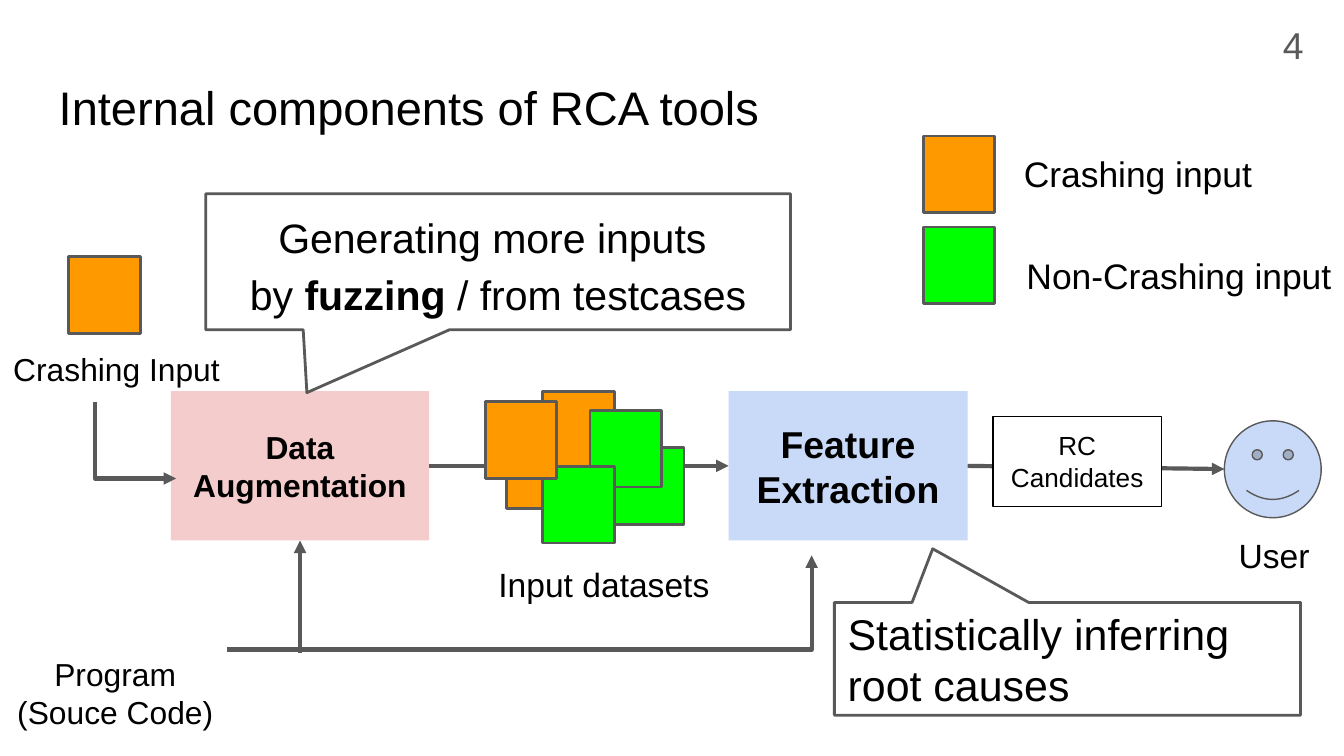
from dataclasses import dataclass, field
from typing import Optional

from lxml.etree import SubElement
from pptx import Presentation
from pptx.dml.color import RGBColor
from pptx.enum.shapes import MSO_CONNECTOR, MSO_SHAPE as SHAPE
from pptx.enum.text import MSO_ANCHOR as ANCHOR, PP_ALIGN as ALIGN
from pptx.oxml.ns import qn
from pptx.util import Cm, Pt

GRAY, BLACK, WHITE = "595959", "000000", "FFFFFF"
ORANGE, GREEN, PINK, BLUE = "FF9900", "00FF00", "F4CCCC", "C9DAF8"
LEFT, CENTER, RIGHT = ALIGN.LEFT, ALIGN.CENTER, ALIGN.RIGHT
INSET = Cm(0.25)


@dataclass
class Text:
    """Paragraphs; a pair of asterisks switches bold on and off."""
    paragraphs: list
    size: float
    align: ALIGN = LEFT
    anchor: ANCHOR = ANCHOR.TOP
    bold: bool = False
    color: str = BLACK
    spacing: dict = field(default_factory=dict)


@dataclass
class Box:
    at: tuple
    text: Optional[Text] = None
    fill: str = WHITE
    line: Optional[str] = GRAY
    width: float = 1.5
    kind: SHAPE = SHAPE.RECTANGLE
    adj: tuple = ()


def rgb(color: str) -> RGBColor:
    return RGBColor.from_string(color)


def write(tf, text: Text) -> None:
    frame = dict(word_wrap=True, vertical_anchor=text.anchor, margin_left=INSET,
                 margin_right=INSET, margin_top=INSET, margin_bottom=INSET)
    for name, value in frame.items():
        setattr(tf, name, value)
    for i, line in enumerate(text.paragraphs):
        p = tf.paragraphs[0] if i == 0 else tf.add_paragraph()
        for name, value in {"alignment": text.align, **text.spacing}.items():
            setattr(p, name, value)
        for n, part in enumerate(line.split("*")):
            if n == 0:
                p.text = part
            else:
                p.add_run().text = part
            for r in p.runs:
                if r.font.size is None:
                    style = dict(name="Arial", size=Pt(text.size), bold=text.bold or n % 2 == 1)
                    for name, value in style.items():
                        setattr(r.font, name, value)
                    r.font.color.rgb = rgb(text.color)


def draw_box(s, box: Box):
    sp = s.shapes.add_shape(box.kind, *map(Cm, box.at))
    sp.shadow.inherit = False
    for i, value in enumerate(box.adj):
        sp.adjustments[i] = value
    sp.fill.solid()
    sp.fill.fore_color.rgb = rgb(box.fill)
    if box.line:
        sp.line.color.rgb = rgb(box.line)
        sp.line.width = Pt(box.width)
    else:
        sp.line.fill.background()
    if box.text:
        write(sp.text_frame, box.text)
    return sp


def draw_square(s, x: float, y: float, color: str) -> None:
    draw_box(s, Box((x, y, 1.35, 1.45), fill=color))


def draw_label(s, at: tuple, text: Text) -> None:
    write(s.shapes.add_textbox(*map(Cm, at)).text_frame, text)


def style_arrow(sp) -> None:
    sp.line.color.rgb = rgb(GRAY)
    sp.line.width = Pt(2.25)
    SubElement(sp.line._get_or_add_ln(), qn("a:tailEnd"), type="triangle")


def draw_arrow(s, start: tuple, end: tuple):
    line = s.shapes.add_connector(MSO_CONNECTOR.STRAIGHT, *map(Cm, start + end))
    style_arrow(line)
    SubElement(line._element.spPr, qn("a:effectLst"))
    return line


def draw_elbow(s, *points: tuple) -> None:
    first, *rest = [tuple(map(Cm, pt)) for pt in points]
    builder = s.shapes.build_freeform(*first)
    builder.add_line_segments(rest, close=False)
    sp = builder.convert_to_shape()
    sp.fill.background()
    sp.shadow.inherit = False
    style_arrow(sp)


def main() -> None:
    prs = Presentation()
    prs.slide_width, prs.slide_height = Cm(25.4), Cm(14.28)
    s = prs.slides.add_slide(prs.slide_layouts[5])

    # Title and page number
    title = s.shapes.title
    title.left, title.top, title.width, title.height = map(Cm, (0.86, 1.24, 23.67, 1.6))
    write(title.text_frame, Text(["Internal components of RCA tools"], 25.2))
    draw_label(s, (23.37, 0.3, 1.52, 1.09), Text(["4"], 20, RIGHT, ANCHOR.MIDDLE, color=GRAY))

    # Processing stages
    draw_box(s, Box((15.77, 11.38, 8.81, 2.13),
                    Text(["Statistically inferring", "root causes"], 23, anchor=ANCHOR.MIDDLE),
                    kind=SHAPE.RECTANGULAR_CALLOUT, adj=(-0.289, -0.976)))
    augmentation = draw_box(s, Box(
        (3.23, 7.39, 4.88, 2.82),
        Text(["Data\nAugmentation"], 17, CENTER, ANCHOR.MIDDLE, True), PINK, None))
    extraction = draw_box(s, Box(
        (13.77, 7.39, 4.52, 2.82),
        Text(["Feature", "Extraction"], 20, CENTER, ANCHOR.MIDDLE, True), BLUE, None))

    # Arrows between stages
    datasets = draw_arrow(s, (8.11, 8.8), (13.77, 8.8))
    datasets.begin_connect(augmentation, 3)
    datasets.end_connect(extraction, 1)
    draw_arrow(s, (18.29, 8.8), (23.14, 8.86)).begin_connect(extraction, 3)
    draw_arrow(s, (5.67, 12.34), (5.67, 10.21)).end_connect(augmentation, 2)
    draw_elbow(s, (1.8, 7.59), (1.8, 9.04), (3.33, 9.04))
    draw_elbow(s, (4.29, 12.27), (15.34, 12.27), (15.34, 10.49))

    # Result and user
    draw_box(s, Box((18.77, 7.87, 3.18, 1.7), Text(["RC", "Candidates"], 14, CENTER),
                    line=BLACK, width=0.75))
    draw_box(s, Box((23.14, 7.95, 1.83, 1.83), fill=BLUE, width=0.75,
                    kind=SHAPE.SMILEY_FACE, adj=(0.047,)))

    # Inputs: single crash, generated data sets, legend
    for x, y, color in [(1.3, 4.85, ORANGE),
                        (9.58, 8.15, ORANGE), (10.26, 7.39, ORANGE), (11.58, 8.46, GREEN),
                        (11.15, 7.75, GREEN), (10.26, 8.81, GREEN), (9.17, 7.59, ORANGE),
                        (17.45, 2.57, ORANGE), (17.45, 4.29, GREEN)]:
        draw_square(s, x, y, color)

    # Callout on augmentation
    draw_box(s, Box((3.89, 3.66, 11.05, 2.57),
                    Text(["Generating more inputs \nby *fuzzing */ from testcases"], 22,
                         CENTER, ANCHOR.MIDDLE,
                         spacing=dict(line_spacing=1.15, space_after=Pt(12))),
                    kind=SHAPE.RECTANGULAR_CALLOUT, adj=(-0.327, 0.962)))

    # Labels
    for at, text in [
        ((0, 6.35, 4.93, 1.24), Text(["Crashing Input"], 17)),
        ((19.1, 2.62, 6.3, 1.32), Text(["Crashing input"], 19)),
        ((19.15, 4.55, 7.82, 1.32), Text(["Non-Crashing input"], 19)),
        ((9.17, 10.41, 4.52, 1.27), Text(["Input datasets"], 18)),
        ((-0.08, 12.12, 4.52, 1.96), Text(["Program", "(Souce Code)"], 17, CENTER)),
        ((23.16, 9.86, 2.24, 1.27), Text(["User"], 18)),
    ]:
        draw_label(s, at, text)

    prs.save("out.pptx")


if __name__ == "__main__":
    main()
